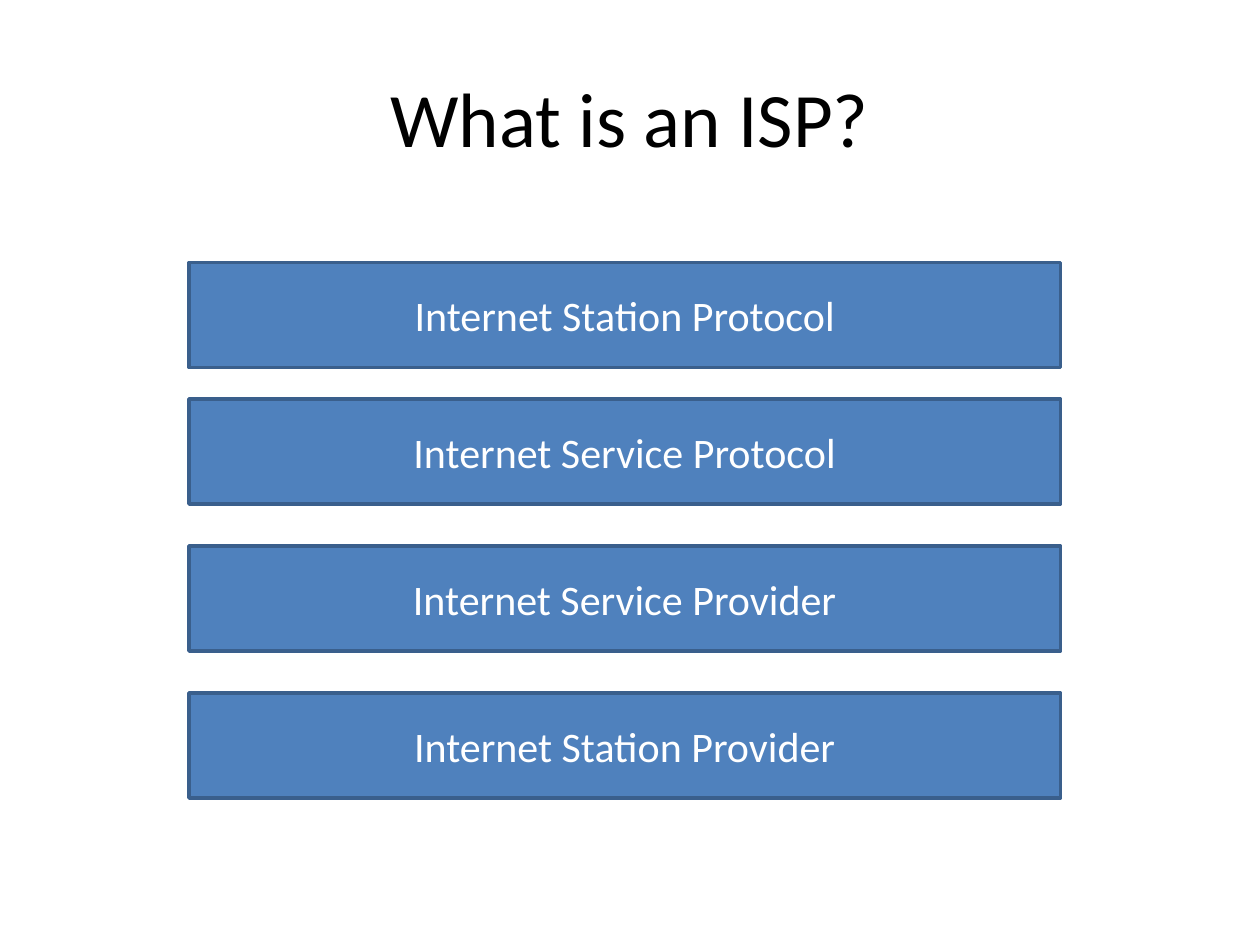
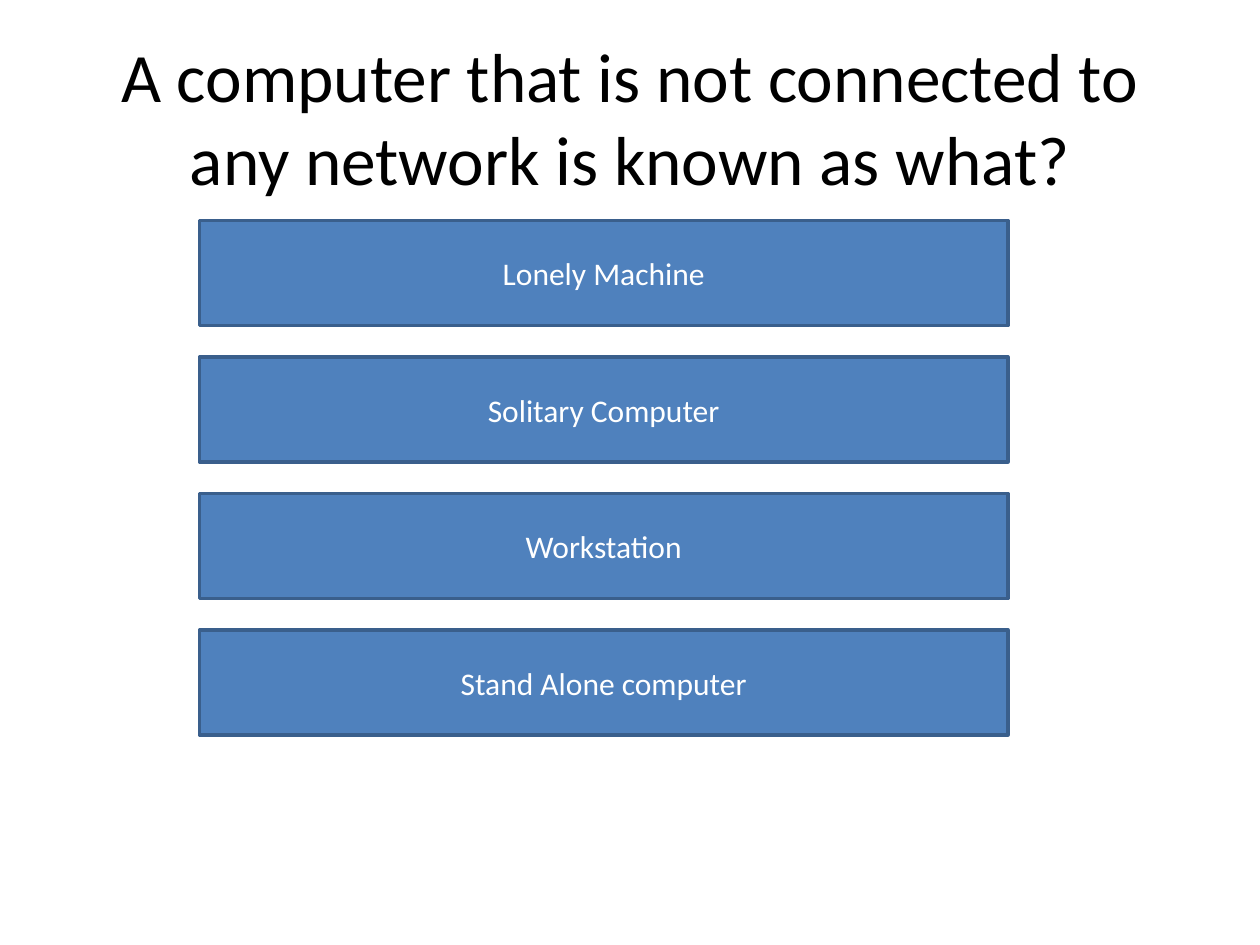
from dataclasses import dataclass

from pptx import Presentation
from pptx.dml.color import RGBColor
from pptx.enum import shapes, text
from pptx.util import Pt

FONT = "Calibri"
INK, PAPER = "000000", "FFFFFF"
BLUE, EDGE = "4F81BD", "3A5F8C"
BAR_H = 60
STEP = 78


@dataclass
class Quiz:
    title: str
    size: float       # title font size
    left: float
    width: float
    tops: list[float]
    font: float       # answer font size
    answers: list[str]


QUIZZES = [
    Quiz("What is an ISP?", 44, 108, 498, [150, 228, 312, 396], 24,
         ["Internet Station Protocol", "Internet Service Protocol",
          "Internet Service Provider", "Internet Station Provider"]),
    Quiz("A computer that is not connected to any network is known as what?",
         39.6, 114, 462, [126 + STEP * i for i in range(4)], 18,
         ["Lonely Machine", "Solitary Computer",
          "Workstation", "Stand Alone computer"]),
]


def color(code: str) -> RGBColor:
    return RGBColor.from_string(code)


def write(shape, words: str, size: float, ink: str) -> None:
    """Set one centred line of text in a shape."""
    frame = shape.text_frame
    frame.word_wrap = True
    frame.vertical_anchor = text.MSO_ANCHOR.MIDDLE
    para = frame.paragraphs[0]
    para.alignment = text.PP_ALIGN.CENTER
    run = para.add_run()
    run.text = words
    run.font.name = FONT
    run.font.size = Pt(size)
    run.font.color.rgb = color(ink)


def add_title(slide, words: str, size: float) -> None:
    box = slide.shapes.add_textbox(Pt(36), Pt(21.6), Pt(648), Pt(90))
    write(box, words, size, INK)


def add_bar(slide, quiz: Quiz, top: float, words: str) -> None:
    bar = slide.shapes.add_shape(shapes.MSO_SHAPE.RECTANGLE, Pt(quiz.left),
                                 Pt(top), Pt(quiz.width), Pt(BAR_H))
    bar.shadow.inherit = False
    bar.fill.solid()
    bar.fill.fore_color.rgb = color(BLUE)
    bar.line.color.rgb = color(EDGE)
    bar.line.width = Pt(2)
    write(bar, words, quiz.font, PAPER)


def main() -> None:
    deck = Presentation()
    deck.slide_width, deck.slide_height = Pt(720), Pt(540)

    # One slide per question, one bar per answer
    for quiz in QUIZZES:
        slide = deck.slides.add_slide(deck.slide_layouts[6])
        add_title(slide, quiz.title, quiz.size)
        for top, words in zip(quiz.tops, quiz.answers):
            add_bar(slide, quiz, top, words)

    deck.save("out.pptx")


if __name__ == "__main__":
    main()
